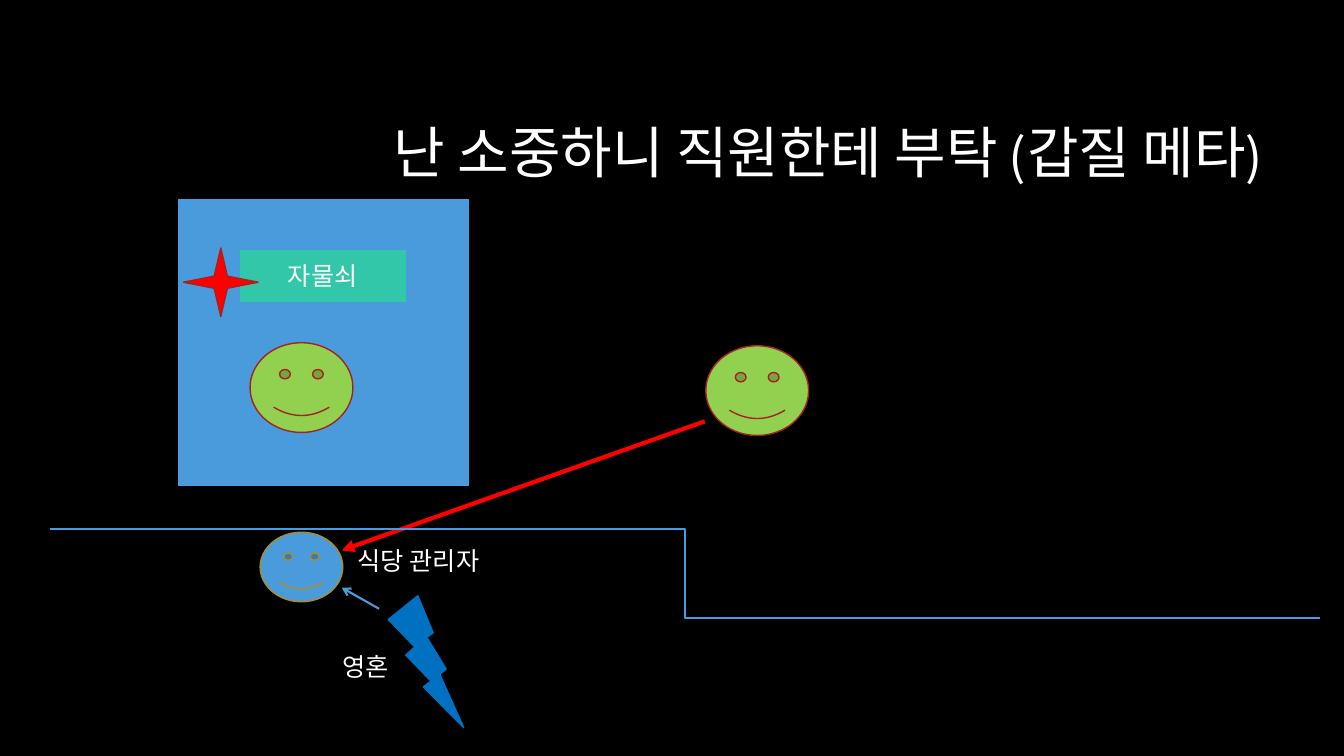
from lxml import etree
from pptx import Presentation
from pptx.dml.color import RGBColor
from pptx.enum.shapes import MSO_CONNECTOR, MSO_SHAPE
from pptx.enum.text import MSO_ANCHOR, PP_ALIGN
from pptx.oxml.ns import qn
from pptx.util import Inches, Pt

RECT = MSO_SHAPE.RECTANGLE
STAR = MSO_SHAPE.STAR_4_POINT
SMILEY = MSO_SHAPE.SMILEY_FACE
BOLT = MSO_SHAPE.LIGHTNING_BOLT
STRAIGHT = MSO_CONNECTOR.STRAIGHT
ELBOW = MSO_CONNECTOR.ELBOW
LEFT, CENTER, RIGHT = PP_ALIGN.LEFT, PP_ALIGN.CENTER, PP_ALIGN.RIGHT
TOP, MIDDLE = MSO_ANCHOR.TOP, MSO_ANCHOR.MIDDLE

FONT = "League Spartan"
BLACK, WHITE = "000000", "FFFFFF"
BLUE, DEEP_BLUE, TEAL = "4A9BDC", "0070C0", "32C7A9"
RED, DARK_RED, GREEN, GOLD = "FF0000", "A5221E", "92D050", "AC8D27"


def color(hex_code):
    """Turn a hex string into a colour."""
    return RGBColor.from_string(hex_code)


def write(shape, text, size=18, align=LEFT, anchor=TOP, wrap=True):
    """Put one line of white text into a shape."""
    frame = shape.text_frame
    frame.word_wrap = wrap
    frame.vertical_anchor = anchor
    frame.text = text
    paragraph = frame.paragraphs[0]
    paragraph.alignment = align
    font = paragraph.runs[0].font
    font.name, font.size = FONT, Pt(size)
    font.color.rgb = color(WHITE)
    return paragraph


def add_figure(slide, kind, box, fill, outline):
    """Draw a filled preset shape in a box given in inches."""
    figure = slide.shapes.add_shape(kind, *map(Inches, box))
    figure.shadow.inherit = False
    figure.fill.solid()
    figure.fill.fore_color.rgb = color(fill)
    figure.line.color.rgb = color(outline)
    figure.line.width = Pt(1)
    return figure


def add_link(slide, kind, start, end, stroke, width, head=None):
    """Draw a connector, with an arrowhead at its end if one is named."""
    link = slide.shapes.add_connector(kind, *map(Inches, start + end))
    link.line.color.rgb = color(stroke)
    link.line.width = Pt(width)
    if head:
        etree.SubElement(link.line._get_or_add_ln(), qn("a:tailEnd"), type=head)
    etree.SubElement(link._element.spPr, qn("a:effectLst"))


def add_label(slide, text, box):
    """Place an unwrapped label in its box."""
    write(slide.shapes.add_textbox(*map(Inches, box)), text, wrap=False)


def add_title(slide, box):
    """Place the right-aligned title in its box."""
    title = slide.shapes.add_textbox(*map(Inches, box))
    paragraph = write(title, "난 소중하니 직원한테 부탁 (갑질 메타)", 40, RIGHT, MIDDLE)
    paragraph.line_spacing = 0.9


def add_locked_room(slide, left, top, width, height):
    """Draw the room with its padlock, star and guest."""
    add_figure(slide, RECT, (left, top, width, height), BLUE, BLUE)
    padlock = add_figure(slide, RECT, (left + 0.6, top + 0.49, 1.66, 0.53), TEAL, BLUE)
    write(padlock, "자물쇠", align=CENTER, anchor=MIDDLE)
    add_figure(slide, STAR, (left + 0.05, top + 0.48, 0.74, 0.68), RED, DARK_RED)
    add_person(slide, left + 0.71, top + 1.42)


def add_person(slide, left, top):
    """Draw a green face."""
    add_figure(slide, SMILEY, (left, top, 1.02, 0.89), GREEN, DARK_RED)


def add_floor(slide, left, top, width, height):
    """Draw the stepped floor line across its box."""
    add_link(slide, ELBOW, (left, top), (left + width, top + height), BLUE, 1.5)


def add_manager(slide, left, top, width, height):
    """Draw the manager below the floor, with the soul that drives him."""
    right = left + width
    add_link(slide, STRAIGHT, (right + 0.36, top + 0.76), (right - 0.01, top + 0.55),
             BLUE, 1.5, "arrow")
    add_figure(slide, BOLT, (right + 0.45, top + 0.63, 0.75, 1.31), DEEP_BLUE, DEEP_BLUE)
    add_label(slide, "영혼", (right - 0.1, top + 1.13, 0.71, 0.4))
    add_label(slide, "식당 관리자", (right + 0.05, top + 0.08, 1.53, 0.4))
    add_figure(slide, SMILEY, (left, top, width, height), BLUE, GOLD)


def main():
    """Build the slide and save it."""
    deck = Presentation()
    deck.slide_width, deck.slide_height = Inches(13.33), Inches(7.5)
    slide = deck.slides.add_slide(deck.slide_layouts[6])
    slide.background.fill.solid()
    slide.background.fill.fore_color.rgb = color(BLACK)
    add_locked_room(slide, 1.77, 1.98, 2.88, 2.84)
    add_person(slide, 7, 3.43)
    add_link(slide, STRAIGHT, (6.99, 4.18), (3.39, 5.46), RED, 3, "triangle")
    add_title(slide, (1.77, 0.84, 10.85, 1.41))
    add_floor(slide, 0.5, 5.25, 12.59, 0.88)
    add_manager(slide, 2.58, 5.28, 0.82, 0.69)
    deck.save("out.pptx")


if __name__ == "__main__":
    main()
